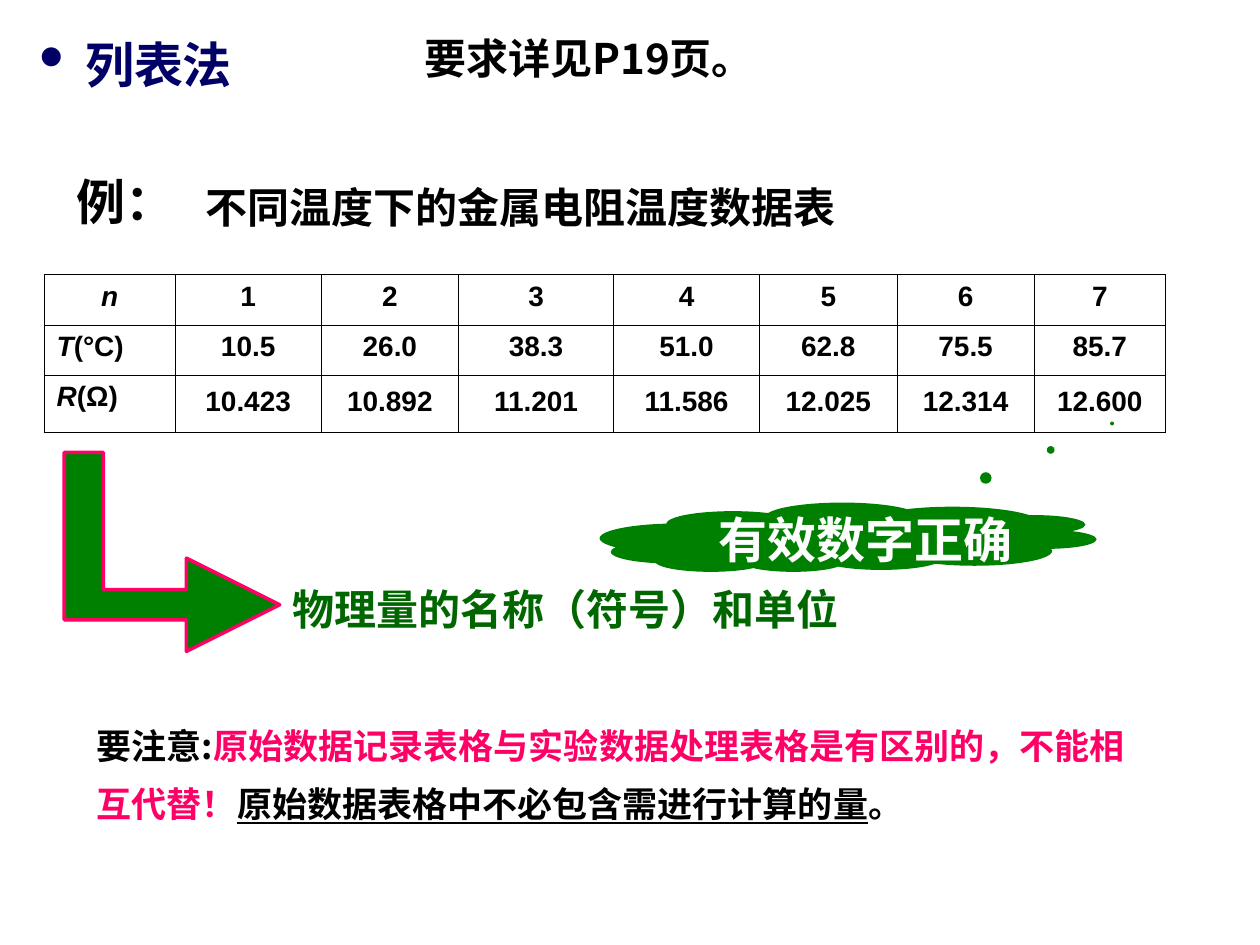
from dataclasses import dataclass

from lxml.etree import SubElement
from pptx import Presentation
from pptx.dml.color import RGBColor
from pptx.enum.shapes import MSO_SHAPE
from pptx.enum.text import MSO_ANCHOR, MSO_AUTO_SIZE, PP_ALIGN
from pptx.oxml.ns import qn
from pptx.util import Inches, Pt

CJK, LATIN = "Noto Sans CJK SC", "Arial"
BLACK, WHITE, NAVY = "000000", "FFFFFF", "000066"
GREEN, DARK_GREEN, PINK = "008000", "006600", "FF0066"


@dataclass
class Run:
    text: str
    size: float
    color: str = BLACK
    font: str = CJK
    italic: bool = False
    underline: bool = False


@dataclass
class Label:
    box: tuple[float, float, float, float]
    runs: list[Run]
    before: float = 0
    spacing: float = 1.0
    anchor: MSO_ANCHOR = MSO_ANCHOR.TOP


def rgb(color: str) -> RGBColor:
    return RGBColor.from_string(color)


def add_runs(p, runs: list[Run]) -> None:
    for run in runs:
        r = p.add_run()
        r.text = run.text
        f = r.font
        f.name, f.size, f.bold = run.font, Pt(run.size), True
        f.italic, f.underline = run.italic, run.underline
        f.color.rgb = rgb(run.color)
        SubElement(f._element, qn("a:ea"), typeface=run.font)


def place(sp, box: tuple[float, float, float, float]) -> None:
    sp.left, sp.top, sp.width, sp.height = map(Inches, box)


def fill_label(sp, label: Label) -> None:
    place(sp, label.box)
    tf = sp.text_frame
    tf.word_wrap = True
    tf.auto_size = MSO_AUTO_SIZE.SHAPE_TO_FIT_TEXT
    tf.vertical_anchor = label.anchor
    p = tf.paragraphs[0]
    p.alignment = PP_ALIGN.LEFT
    p.space_before = Pt(label.before)
    p.line_spacing = label.spacing
    add_runs(p, label.runs)


def add_bullet(p, color: str, indent: float) -> None:
    pPr = p._p.get_or_add_pPr()
    pPr.set("marL", str(Inches(indent)))
    pPr.set("indent", str(-Inches(indent)))
    clr = SubElement(pPr, qn("a:buClr"))
    SubElement(clr, qn("a:srgbClr"), val=color)
    SubElement(pPr, qn("a:buFont"), typeface=LATIN)
    SubElement(pPr, qn("a:buChar"), char="•")


def add_borders(cell, color: str, width: float) -> None:
    tcPr = cell._tc.get_or_add_tcPr()
    for i, side in enumerate(("a:lnL", "a:lnR", "a:lnT", "a:lnB")):
        ln = tcPr.makeelement(qn(side), {"w": str(Pt(width))})
        fill = SubElement(ln, qn("a:solidFill"))
        SubElement(fill, qn("a:srgbClr"), val=color)
        tcPr.insert(i, ln)


def add_data_table(s) -> None:
    # Each header is an italic symbol followed by an upright unit
    rows = [
        (("n", ""), "1 2 3 4 5 6 7"),
        (("T", "(°C)"), "10.5 26.0 38.3 51.0 62.8 75.5 85.7"),
        (("R", "(Ω)"), "10.423 10.892 11.201 11.586 12.025 12.314 12.600"),
    ]
    widths = [1.04, 1.16, 1.09, 1.23, 1.16, 1.09, 1.09, 1.04]
    heights = [0.4, 0.4, 0.45]
    frame = s.shapes.add_table(len(rows), len(widths), Inches(0.35), Inches(2.18),
                               Inches(sum(widths)), Inches(sum(heights)))
    table = frame.table
    table.first_row = table.horz_banding = False
    for column, width in zip(table.columns, widths):
        column.width = Inches(width)
    for i, ((symbol, unit), values) in enumerate(rows):
        table.rows[i].height = Inches(heights[i])
        header = [Run(symbol, 16, font=LATIN, italic=True)]
        if unit:
            header.append(Run(unit, 16, font=LATIN))
        cells = [header] + [[Run(v, 16, font=LATIN)] for v in values.split()]
        for j, runs in enumerate(cells):
            cell = table.cell(i, j)
            cell.fill.background()
            add_borders(cell, BLACK, 0.45)
            p = cell.text_frame.paragraphs[0]
            p.alignment = PP_ALIGN.LEFT if unit and j == 0 else PP_ALIGN.CENTER
            if i == 2 and j > 0:
                p.line_spacing = 1.15
            p.space_before = Pt(4)
            add_runs(p, runs)


def add_bent_arrow(s) -> None:
    points = [(2.22, 4.8), (1.48, 4.43), (1.48, 4.68), (0.82, 4.68), (0.82, 3.59),
              (0.51, 3.59), (0.51, 4.92), (1.48, 4.92), (1.48, 5.17)]
    points = [(Inches(x), Inches(y)) for x, y in points]
    builder = s.shapes.build_freeform(*points[0])
    builder.add_line_segments(points[1:], close=True)
    sp = builder.convert_to_shape()
    sp.shadow.inherit = False
    sp.fill.solid()
    sp.fill.fore_color.rgb = rgb(GREEN)
    sp.line.color.rgb = rgb(PINK)
    sp.line.width = Pt(2)


def add_cloud(s) -> None:
    sp = s.shapes.add_shape(MSO_SHAPE.CLOUD_CALLOUT, 0, 0, 0, 0)
    place(sp, (4.76, 3.99, 3.94, 0.55))
    sp.rotation = 180
    sp.adjustments[0], sp.adjustments[1] = -0.532, 1.645
    sp.shadow.inherit = False
    sp.fill.solid()
    sp.fill.fore_color.rgb = rgb(GREEN)
    sp.line.fill.background()
    tf = sp.text_frame
    tf.word_wrap = True
    tf.vertical_anchor = MSO_ANCHOR.MIDDLE
    # Turn the text back upright inside the rotated cloud
    tf._txBody.bodyPr.set("rot", str(180 * 60000))
    p = tf.paragraphs[0]
    p.alignment = PP_ALIGN.CENTER
    add_runs(p, [Run("有效数字正确", 28, WHITE)])


def main() -> None:
    prs = Presentation()
    prs.slide_width, prs.slide_height = Inches(10), Inches(7.5)
    s = prs.slides.add_slide(prs.slide_layouts[5])

    # Bulleted title
    title = s.shapes.title
    fill_label(title, Label((0.21, 0.06, 4.39, 0.77),
                            [Run(" ", 40, NAVY), Run("列表法", 28, NAVY)], before=17.5))
    add_bullet(title.text_frame.paragraphs[0], NAVY, 0.24)

    # Table, arrow and callout
    add_data_table(s)
    add_bent_arrow(s)
    add_cloud(s)

    # Text labels
    labels = [
        Label((1.53, 1.39, 6.58, 0.5), [Run("不同温度下的金属电阻温度数据表", 24)], before=15),
        Label((0.51, 1.31, 1.18, 0.57), [Run("例：", 28)], before=17.5),
        Label((2.22, 4.58, 5.46, 0.5), [Run("物理量的名称（符号）和单位", 24, DARK_GREEN)]),
        Label((3.27, 0.21, 2.76, 0.9), [Run("要求详见P19页。", 24)], before=15),
        Label((0.67, 5.56, 8.43, 1.04), [
            Run("要注意:", 20),
            Run("原始数据记录表格与实验数据处理表格是有区别的，不能相互代替！", 20, PINK),
            Run("原始数据表格中不必包含需进行计算的量", 20, underline=True),
            Run("。", 20),
        ], spacing=1.4, anchor=MSO_ANCHOR.MIDDLE),
    ]
    for label in labels:
        fill_label(s.shapes.add_textbox(0, 0, 0, 0), label)

    prs.save("out.pptx")


if __name__ == "__main__":
    main()
